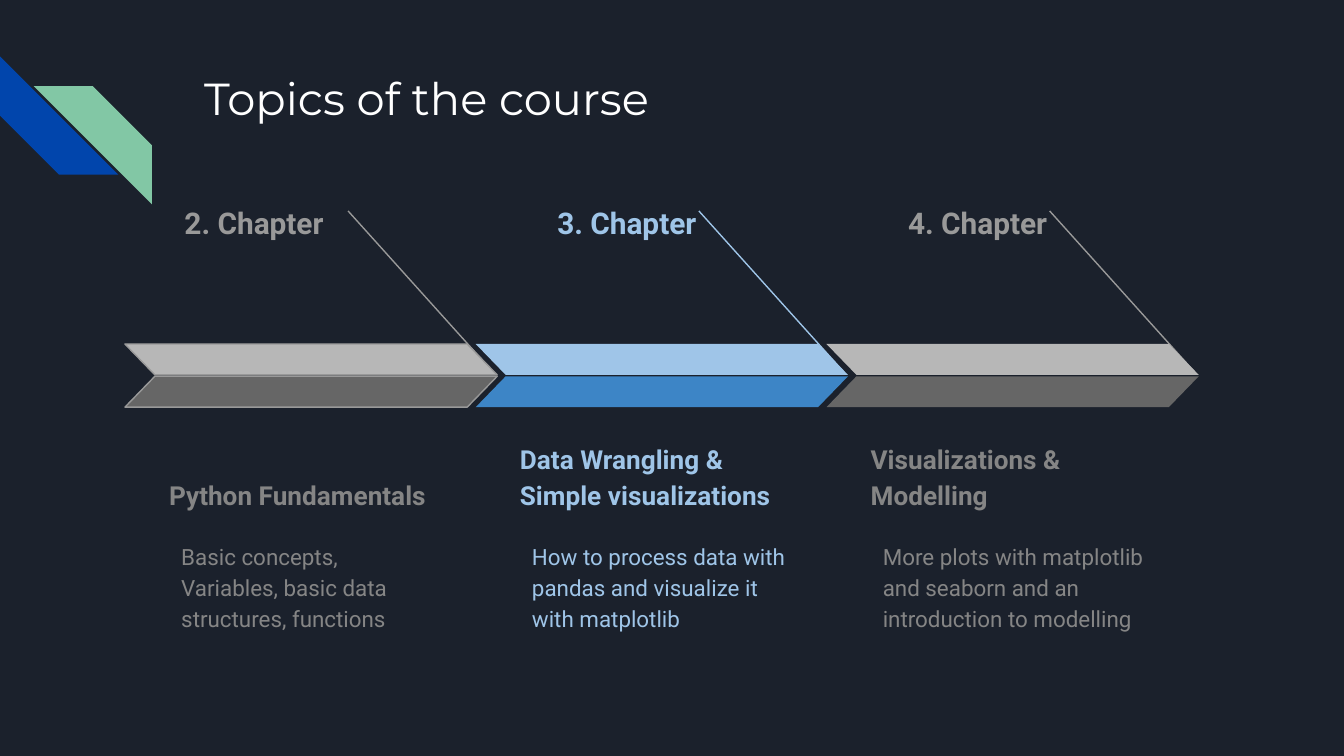
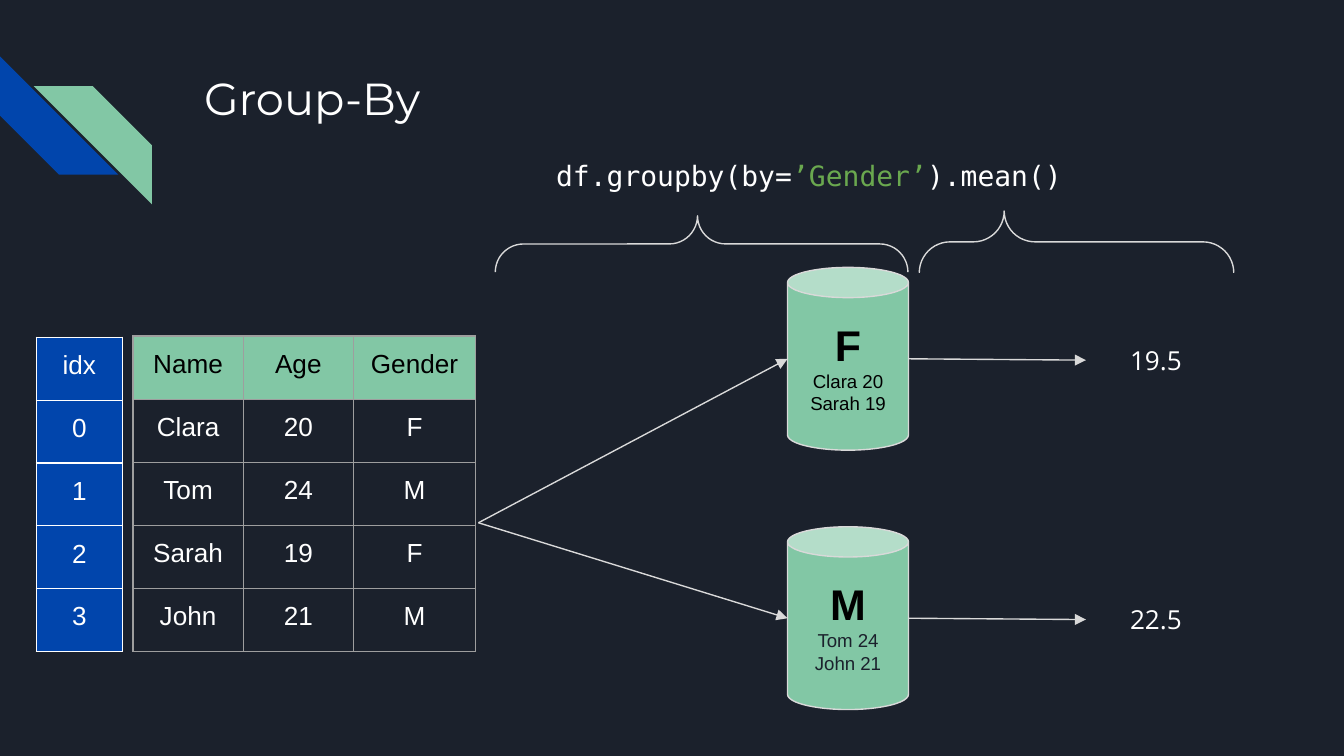
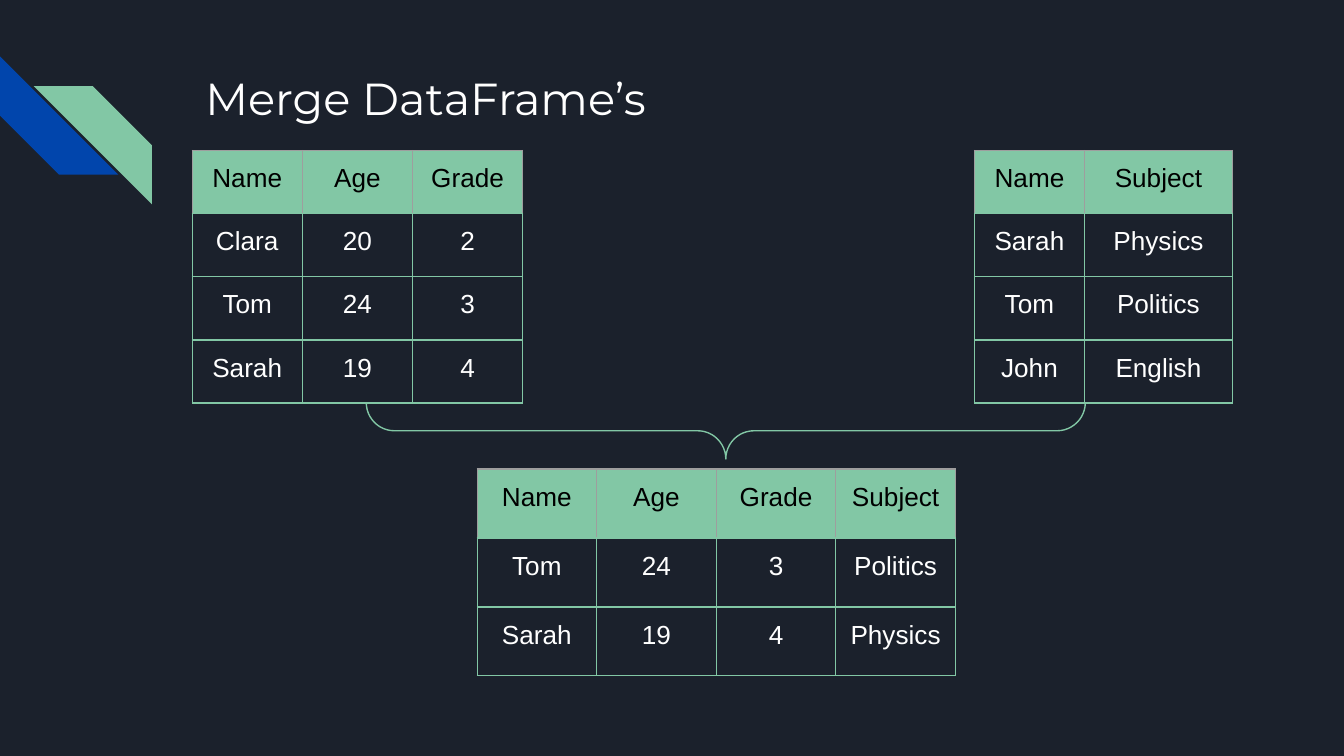
"""Build three dark course slides: topics, group-by and merging tables."""
from lxml.etree import SubElement
from pptx import Presentation
from pptx.dml.color import RGBColor
from pptx.enum.shapes import MSO_CONNECTOR, MSO_SHAPE as SHAPE
from pptx.enum.text import MSO_ANCHOR as ANCHOR, PP_ALIGN as ALIGN
from pptx.oxml.ns import qn
from pptx.util import Inches, Pt

COLS, ROWS = 100, 56.25
UNIT = Inches(10) // COLS

NAVY = RGBColor(0x1B, 0x21, 0x2C)
BLUE = RGBColor(0x01, 0x45, 0xAC)
GREEN = RGBColor(0x82, 0xC7, 0xA5)
STRING_GREEN = RGBColor(0x6A, 0xA8, 0x4F)
WHITE = RGBColor(0xFF, 0xFF, 0xFF)
BLACK = RGBColor(0, 0, 0)
PALE = RGBColor(0xD9, 0xD9, 0xD9)
LIGHT_GREY = RGBColor(0xB7, 0xB7, 0xB7)
EDGE_GREY = RGBColor(0x9E, 0x9E, 0x9E)
LABEL_GREY = RGBColor(0x99, 0x99, 0x99)
TEXT_GREY = RGBColor(0x85, 0x85, 0x85)
DARK_GREY = RGBColor(0x66, 0x66, 0x66)
SKY = RGBColor(0x9F, 0xC5, 0xE8)
MID_BLUE = RGBColor(0x3D, 0x85, 0xC6)


def grid(*cells):
    """Turn grid cells into lengths."""
    return [round(c * UNIT) for c in cells]


class Deck:
    """Hold the shared style and the current slide."""

    def __init__(self):
        """Open a deck with the grid's size and a dark background."""
        self.prs = Presentation()
        self.prs.slide_width, self.prs.slide_height = grid(COLS, ROWS)
        fill = self.prs.slide_master.background.fill
        fill.solid()
        fill.fore_color.rgb = NAVY

    def slide(self, title, left=14.2):
        """Start a slide with the corner stripes and a title."""
        self.s = self.prs.slides.add_slide(self.prs.slide_layouts[6])
        self.shape(SHAPE.DIAGONAL_STRIPE, (0, 4.2, 8.8, 8.8), BLUE, rotation=270)
        self.shape(SHAPE.DIAGONAL_STRIPE, (2.5, 6.4, 8.8, 8.8), GREEN, flip=True)
        self.text((left, 4.3, 77, 10), [(title, WHITE)], 24, "Montserrat")

    def paragraph(self, p, runs, size, font, bold=False, **layout):
        """Fill a paragraph with (text, colour) runs."""
        for key, value in layout.items():
            setattr(p, key, value)
        for text, color in runs:
            for i, line in enumerate(text.split("\n")):
                if i:
                    p.add_line_break()
                r = p.add_run()
                r.text = line
                r.font.color.rgb = color
                for key, value in dict(size=Pt(size), name=font, bold=bold).items():
                    setattr(r.font, key, value)

    def frame(self, holder, anchor):
        """Give a text frame or cell equal margins and an anchor."""
        for side in ("left", "top", "right", "bottom"):
            setattr(holder, f"margin_{side}", Inches(0.1))
        holder.vertical_anchor = anchor

    def text(self, at, runs, size, font, anchor=ANCHOR.TOP, indent=0, **fmt):
        """Add a wrapped text box with one paragraph."""
        tf = self.s.shapes.add_textbox(*grid(*at)).text_frame
        tf.word_wrap = True
        self.frame(tf, anchor)
        p = tf.paragraphs[0]
        self.paragraph(p, runs, size, font, **fmt)
        if indent:
            p._p.get_or_add_pPr().set("marL", str(grid(indent)[0]))

    def shape(self, kind, at, fill=None, line=None, adj=(), flip=False, rotation=0):
        """Add a preset shape."""
        sp = self.s.shapes.add_shape(kind, *grid(*at))
        sp.shadow.inherit = False
        sp.rotation = rotation
        for i, value in enumerate(adj):
            sp.adjustments[i] = value
        if flip:
            sp.element.spPr.find(qn("a:xfrm")).set("flipH", "1")
        for part, color in ((sp.fill, fill), (sp.line.fill, line)):
            if color is None:
                part.background()
            else:
                part.solid()
                part.fore_color.rgb = color
        if line is not None:
            sp.line.width = Pt(0.75)
        return sp

    def line(self, start, end, color, arrow=False):
        """Add a thin straight line, with an arrowhead if asked."""
        cxn = self.s.shapes.add_connector(MSO_CONNECTOR.STRAIGHT, *grid(*start, *end))
        cxn.line.color.rgb = color
        cxn.line.width = Pt(0.75)
        spPr = cxn.element.spPr
        if arrow:
            SubElement(spPr.find(qn("a:ln")), qn("a:tailEnd"), type="triangle")
        SubElement(spPr, qn("a:effectLst"))

    def brace(self, at, color, tip, rotation=90):
        """Add a brace turned to lie flat."""
        self.shape(SHAPE.LEFT_BRACE, at, line=color, adj=(0.5, tip), rotation=rotation)

    def can(self, at, name, members, color):
        """Add a can with a group's name and members."""
        sp = self.shape(SHAPE.CAN, at, GREEN, PALE, adj=(0.25,))
        tf = sp.text_frame
        tf.word_wrap = True
        self.frame(tf, ANCHOR.MIDDLE)
        self.paragraph(tf.paragraphs[0], [(name, BLACK)], 23, "Arial", True,
                       alignment=ALIGN.CENTER)
        for member in members:
            self.paragraph(tf.add_paragraph(), [(member, color)], 10, "Arial",
                           alignment=ALIGN.CENTER)

    def borders(self, cell, colors):
        """Draw a cell's left, right, top and bottom borders."""
        tcPr = cell._tc.get_or_add_tcPr()
        for i, (side, color) in enumerate(zip("LRTB", colors)):
            ln = SubElement(tcPr, qn(f"a:ln{side}"), w=str(Pt(0.75)))
            SubElement(SubElement(ln, qn("a:solidFill")), qn("a:srgbClr"), val=str(color))
            tcPr.insert(i, ln)

    def table(self, left, top, widths, height, rows, edge=GREEN, body=None,
              head=GREEN, head_ink=BLACK, head_edge=EDGE_GREY):
        """Add a table whose first row is the header."""
        size = grid(left, top, sum(widths), height * len(rows))
        tbl = self.s.shapes.add_table(len(rows), len(widths), *size).table
        tbl.first_row = tbl.horz_banding = False
        for col, width in zip(tbl.columns, grid(*widths)):
            col.width = width
        for y, row in enumerate(rows):
            tbl.rows[y].height = grid(height)[0]
            fill, ink, rim = (body, WHITE, edge) if y else (head, head_ink, head_edge)
            for x, value in enumerate(row):
                cell = tbl.cell(y, x)
                self.frame(cell, ANCHOR.TOP)
                self.paragraph(cell.text_frame.paragraphs[0], [(value, ink)], 14, "Arial",
                               alignment=ALIGN.CENTER)
                if fill is None:
                    cell.fill.background()
                else:
                    cell.fill.solid()
                    cell.fill.fore_color.rgb = fill
                self.borders(cell, (rim, rim, rim, edge))

    def chapter(self, x, label, heading, body, colors, label_box, align, indent=0, edge=None):
        """Add one chapter of the timeline."""
        upper, lower, accent, ink = colors
        offset, width = label_box
        self.text((x + offset, 13.8, width, 3.9), [(label, accent)], 16, "Roboto", bold=True,
                  indent=indent, alignment=align, line_spacing=1.15, space_after=Pt(16))
        self.text((x + 2.3, 31.8, 22.7, 7.2), [(heading, ink)], 14, "Roboto", ANCHOR.BOTTOM,
                  bold=True, line_spacing=1.15)
        self.text((x + 3.2, 39.1, 22.1, 8.7), [(body, ink)], 12, "Roboto",
                  line_spacing=1.15, space_after=Pt(16))
        self.line((x + 16.6, 15.7), (x + 27.4, 27.7), accent)
        for top, fill, flip in ((25.6, upper, True), (28, lower, False)):
            self.shape(SHAPE.PARALLELOGRAM, (x, top, 27.7, 2.3), fill, edge, (0.97,), flip)


def topics(deck):
    """Build the timeline of chapters."""
    deck.slide("Topics of the course")
    grey = (LIGHT_GREY, DARK_GREY, LABEL_GREY, TEXT_GREY)
    blue = (SKY, MID_BLUE, SKY, SKY)
    first = dict(label_box=(-3, 20.2), align=ALIGN.CENTER, indent=5, edge=LABEL_GREY)
    later = dict(label_box=(3.9, 13.5), align=ALIGN.RIGHT)
    chapters = [
        ("2. Chapter", "Python Fundamentals",
         "Basic concepts,\nVariables, basic data structures, functions", grey, first),
        ("3. Chapter", "Data Wrangling & Simple visualizations",
         "How to process data with pandas and visualize it with matplotlib", blue, later),
        ("4. Chapter", "Visualizations & Modelling",
         "More plots with matplotlib and seaborn and an introduction to modelling", grey, later),
    ]
    for i, (label, heading, body, colors, style) in enumerate(chapters):
        deck.chapter(9.3 + 26.1 * i, label, heading, body, colors, **style)


def group_by(deck):
    """Build the split of one table into two group means."""
    deck.slide("Group-By")
    people = [("Name", "Age", "Gender"), ("Clara", "20", "F"), ("Tom", "24", "M"),
              ("Sarah", "19", "F"), ("John", "21", "M")]
    index = [("idx",), ("0",), ("1",), ("2",), ("3",)]
    deck.table(9.9, 25, (8.2, 8.2, 9.1), 4.7, people, EDGE_GREY)
    deck.table(2.7, 25.1, (6.4,), 4.68, index, WHITE, BLUE, BLUE, WHITE, WHITE)
    groups = [("F", ("Clara 20", "Sarah 19"), BLACK, "19.5", 19.9),
              ("M", ("Tom 24", "John 21"), NAVY, "22.5", 39.2)]
    for name, members, ink, mean, top in groups:
        middle = top + 6.8
        deck.can((58.6, top, 9, 13.6), name, members, ink)
        deck.line((35.6, 38.9), (58.6, middle), PALE, True)
        deck.line((67.6, middle), (80.8, middle + 0.1), PALE, True)
        deck.text((83.1, middle - 2.1, 10, 4.4), [(mean, WHITE)], 14, "Open Sans")
    code = [("df.groupby(by=", WHITE), ("’Gender’", STRING_GREEN), (").mean()", WHITE)]
    deck.text((40.4, 10.8, 48.4, 4.5), code, 15, "DejaVu Sans Mono")
    deck.brace((50.1, 2.8, 4.2, 30.7), PALE, 0.51)
    deck.brace((77.8, 6.3, 4.6, 23.4), PALE, 0.73)


def merge(deck):
    """Build the merge of two tables into one."""
    deck.slide("Merge DataFrame’s", 14.3)
    grades = [("Name", "Age", "Grade"), ("Clara", "20", "2"), ("Tom", "24", "3"),
              ("Sarah", "19", "4")]
    subjects = [("Name", "Subject"), ("Sarah", "Physics"), ("Tom", "Politics"),
                ("John", "English")]
    merged = [("Name", "Age", "Grade", "Subject"), ("Tom", "24", "3", "Politics"),
              ("Sarah", "19", "4", "Physics")]
    deck.table(14.3, 11.2, (8.2,) * 3, 4.7, grades)
    deck.table(72.5, 11.2, (8.2, 11), 4.7, subjects)
    deck.table(35.5, 34.9, (8.9,) * 4, 5.13, merged)
    deck.brace((51.9, 5.3, 4.2, 53.5), GREEN, 0.5, 270)


def main():
    """Build and save the deck."""
    deck = Deck()
    for build in (topics, group_by, merge):
        build(deck)
    deck.prs.save("out.pptx")


if __name__ == "__main__":
    main()
